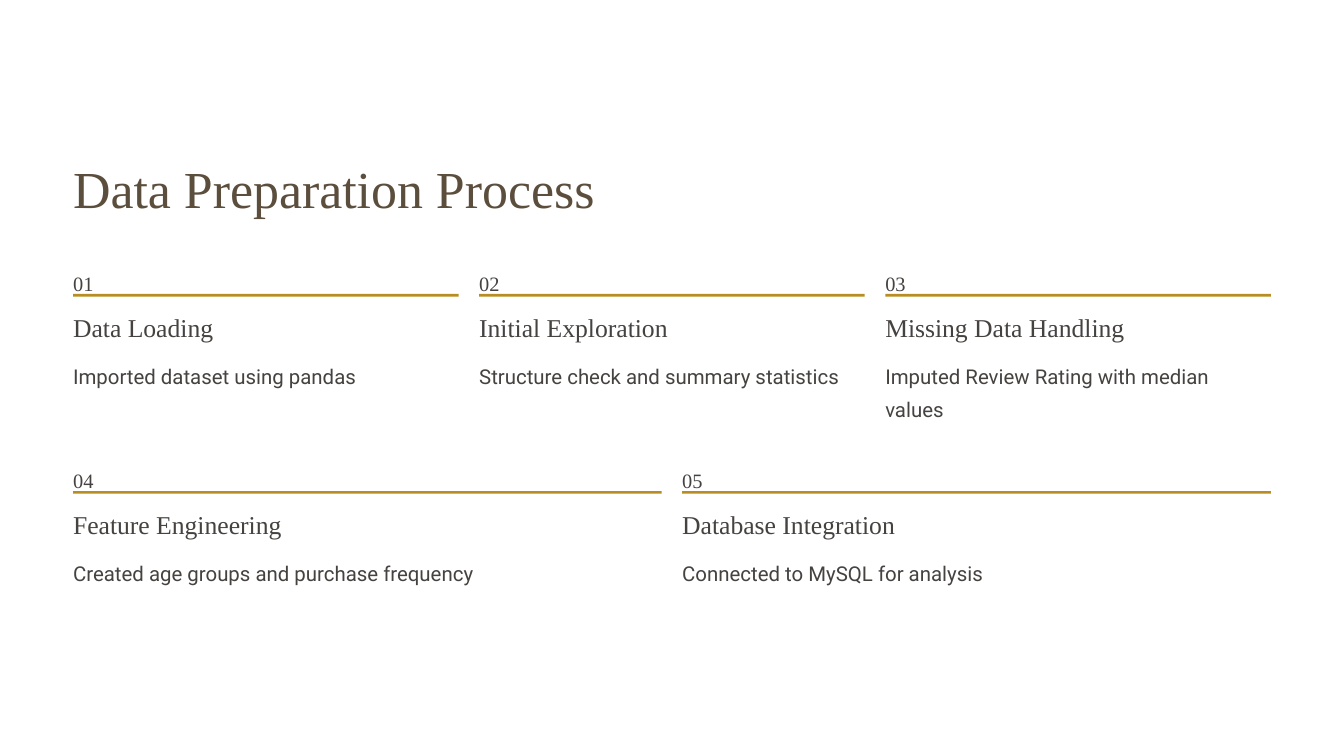
from pptx import Presentation
from pptx import util as u
from pptx.dml.color import RGBColor
from pptx.enum import shapes, text

COLORS = {"title": "5C4E3D", "body": "454240", "rule": "B88E23"}
SERIF, SANS = "Times New Roman", "Roboto"

LEFT, CONTENT_WIDTH, GAP = 2.21, 36.22, 0.62
FIRST_ROW_TOP, ROW_PITCH = 7.92, 5.96

# Each step: heading, heading box width in cm, description, description height in cm
ROWS = [
    [
        ("Data Loading", 7.87, "Imported dataset using pandas", 1.01),
        ("Initial Exploration", 7.87, "Structure check and summary statistics", 1.01),
        ("Missing Data Handling", 9.19, "Imputed Review Rating with median values", 2.01),
    ],
    [
        ("Feature Engineering", 8.2, "Created age groups and purchase frequency", 1.01),
        ("Database Integration", 8.36, "Connected to MySQL for analysis", 1.01),
    ],
]


def add_text(page, words, place, size, leading, font=SERIF, color="body", wrap=False):
    """Add one line or paragraph; place is left, top, width, height in cm."""
    box = page.shapes.add_textbox(*map(u.Cm, place))
    frame = box.text_frame
    frame.margin_left = frame.margin_top = frame.margin_right = frame.margin_bottom = 0
    frame.vertical_anchor = text.MSO_ANCHOR.TOP
    frame.word_wrap = wrap
    para = frame.paragraphs[0]
    para.alignment = text.PP_ALIGN.LEFT
    para.line_spacing = u.Pt(leading)
    span = para.add_run()
    span.text = words
    span.font.name = font
    span.font.size = u.Pt(size)
    span.font.color.rgb = RGBColor.from_string(COLORS[color])


def add_rule(page, left, top, width):
    rule = page.shapes.add_shape(
        shapes.MSO_SHAPE.RECTANGLE, u.Cm(left), u.Cm(top), u.Cm(width), u.Cm(0.08))
    rule.shadow.inherit = False
    rule.fill.solid()
    rule.fill.fore_color.rgb = RGBColor.from_string(COLORS["rule"])
    rule.line.fill.background()


def add_step(page, number, step, left, top, width):
    heading, heading_width, description, height = step
    add_text(page, f"{number:02}", (left, top, 0.64, 0.79), 17.5, 28.5)
    add_rule(page, left, top + 0.97, width)
    add_text(page, heading, (left, top + 1.46, heading_width, 0.99), 22, 27.5)
    add_text(page, description, (left, top + 2.82, width, height), 17.5, 28.5,
             font=SANS, wrap=True)


def main():
    deck = Presentation()
    deck.slide_width, deck.slide_height = u.Cm(40.64), u.Cm(22.86)
    page = deck.slides.add_slide(deck.slide_layouts[6])
    add_text(page, "Data Preparation Process", (LEFT, 4.67, 20.17, 1.98),
             44.5, 55.5, color="title")

    number = 1
    for row, steps in enumerate(ROWS):
        width = (CONTENT_WIDTH - GAP * (len(steps) - 1)) / len(steps)
        for column, step in enumerate(steps):
            add_step(page, number, step, LEFT + column * (width + GAP),
                     FIRST_ROW_TOP + row * ROW_PITCH, width)
            number += 1
    deck.save("out.pptx")


if __name__ == "__main__":
    main()
